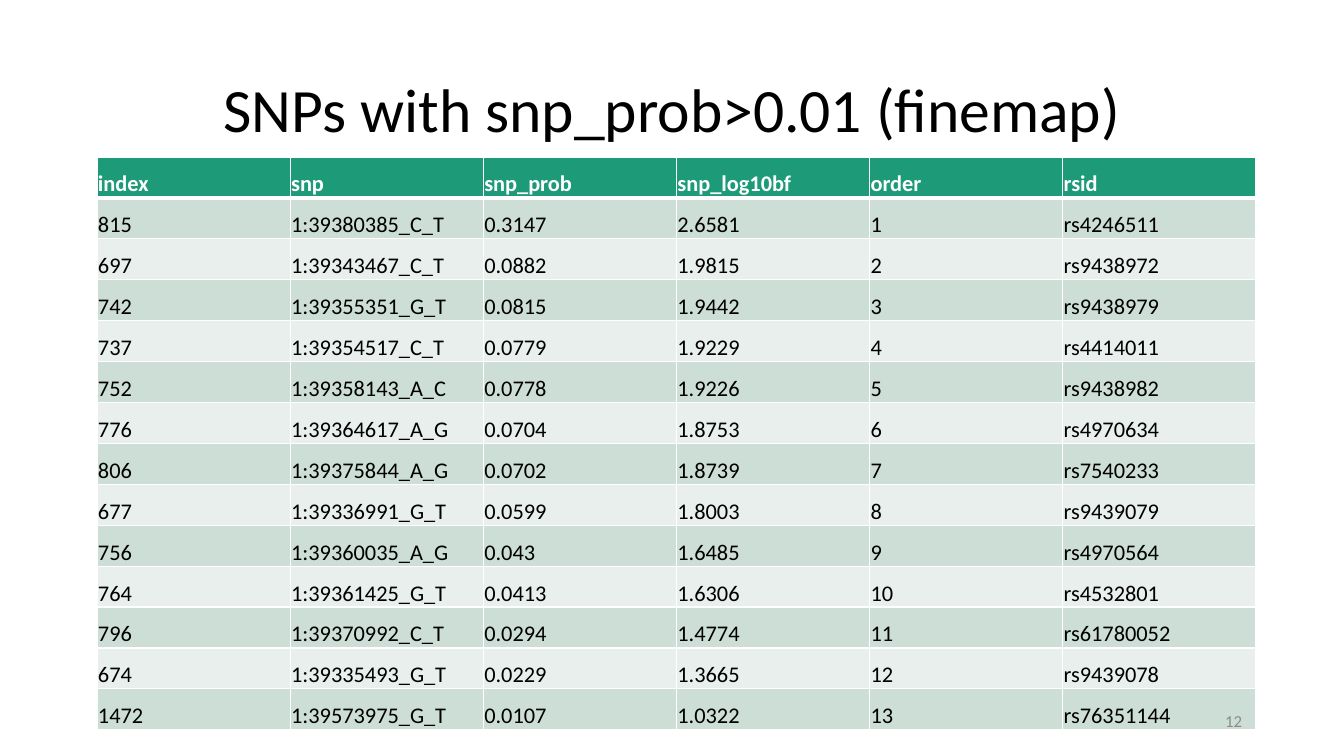
from lxml.etree import SubElement
from pptx import Presentation
from pptx.dml.color import RGBColor
from pptx.enum.text import MSO_ANCHOR, MSO_AUTO_SIZE, PP_ALIGN
from pptx.oxml.ns import qn
from pptx.util import Pt

EMU_PER_PX = 914400 / 100.8
FONT = "Calibri"
COLOURS = {
    "black": "000000",
    "white": "FFFFFF",
    "grey": "8C8C8C",
    "header": "1D9A78",
    "odd_row": "CDDED6",
    "even_row": "E8EFEC",
}
HEADINGS = ("index", "snp", "snp_prob", "snp_log10bf", "order", "rsid")
SNPS = [
    ("815", "1:39380385_C_T", "0.3147", "2.6581", "rs4246511"),
    ("697", "1:39343467_C_T", "0.0882", "1.9815", "rs9438972"),
    ("742", "1:39355351_G_T", "0.0815", "1.9442", "rs9438979"),
    ("737", "1:39354517_C_T", "0.0779", "1.9229", "rs4414011"),
    ("752", "1:39358143_A_C", "0.0778", "1.9226", "rs9438982"),
    ("776", "1:39364617_A_G", "0.0704", "1.8753", "rs4970634"),
    ("806", "1:39375844_A_G", "0.0702", "1.8739", "rs7540233"),
    ("677", "1:39336991_G_T", "0.0599", "1.8003", "rs9439079"),
    ("756", "1:39360035_A_G", "0.043", "1.6485", "rs4970564"),
    ("764", "1:39361425_G_T", "0.0413", "1.6306", "rs4532801"),
    ("796", "1:39370992_C_T", "0.0294", "1.4774", "rs61780052"),
    ("674", "1:39335493_G_T", "0.0229", "1.3665", "rs9439078"),
    ("1472", "1:39573975_G_T", "0.0107", "1.0322", "rs76351144"),
]


def px(length):
    return round(length * EMU_PER_PX)


def write_text(frame, text, size=16, colour="black", bold=False,
               align=PP_ALIGN.LEFT, line_spacing=None):
    paragraph = frame.paragraphs[0]
    paragraph.alignment = align
    paragraph.line_spacing = line_spacing
    run = paragraph.add_run()
    run.text = text
    run.font.name = FONT
    run.font.size = Pt(size)
    run.font.bold = bold
    run.font.color.rgb = RGBColor.from_string(COLOURS[colour])


class SlideBuilder:
    def __init__(self, presentation):
        self.slide = presentation.slides.add_slide(presentation.slide_layouts[5])

    def title(self, text, left, top, width, height):
        shape = self.slide.shapes.title
        shape.left, shape.top = px(left), px(top)
        shape.width, shape.height = px(width), px(height)
        frame = shape.text_frame
        frame.auto_size = MSO_AUTO_SIZE.NONE
        frame.vertical_anchor = MSO_ANCHOR.MIDDLE
        write_text(frame, text, size=44, align=PP_ALIGN.CENTER, line_spacing=0.9)

    def text_box(self, text, left, top, width, height, **text_format):
        shape = self.slide.shapes.add_textbox(px(left), px(top), px(width), px(height))
        frame = shape.text_frame
        frame.word_wrap = True
        frame.vertical_anchor = MSO_ANCHOR.MIDDLE
        write_text(frame, text, **text_format)

    def cell_borders(self, cell, top, bottom):
        properties = cell._tc.get_or_add_tcPr()
        for side, points in (("L", 1), ("R", 1), ("T", top), ("B", bottom)):
            line = SubElement(properties, qn(f"a:ln{side}"), w=str(Pt(points)))
            fill = SubElement(line, qn("a:solidFill"))
            SubElement(fill, qn("a:srgbClr"), val=COLOURS["white"])

    def table(self, rows, left, top, width, height):
        frame = self.slide.shapes.add_table(
            len(rows), len(rows[0]), px(left), px(top), px(width), px(height))
        for row_number, values in enumerate(rows):
            is_header = row_number == 0
            band = "odd_row" if row_number % 2 else "even_row"
            for column_number, value in enumerate(values):
                cell = frame.table.cell(row_number, column_number)
                cell.margin_left = cell.margin_right = cell.margin_top = px(1)
                cell.margin_bottom = 0
                cell.vertical_anchor = MSO_ANCHOR.BOTTOM
                self.cell_borders(cell, top=3 if row_number == 1 else 1,
                                  bottom=3 if is_header else 1)
                cell.fill.solid()
                cell.fill.fore_color.rgb = RGBColor.from_string(
                    COLOURS["header" if is_header else band])
                write_text(cell.text_frame, value, bold=is_header,
                           colour="white" if is_header else "black")


def main():
    presentation = Presentation()
    presentation.slide_width, presentation.slide_height = px(1344), px(756)
    builder = SlideBuilder(presentation)
    builder.title("SNPs with snp_prob>0.01 (finemap)", 93, 40, 1159, 146)
    ranked_snps = [(*snp[:4], str(order), snp[4])
                   for order, snp in enumerate(SNPS, start=1)]
    builder.table([HEADINGS, *ranked_snps], 97, 157, 1159, 573)
    builder.text_box("12", 950, 701, 302, 40, size=12, colour="grey",
                     align=PP_ALIGN.RIGHT)
    presentation.save("out.pptx")


if __name__ == "__main__":
    main()
